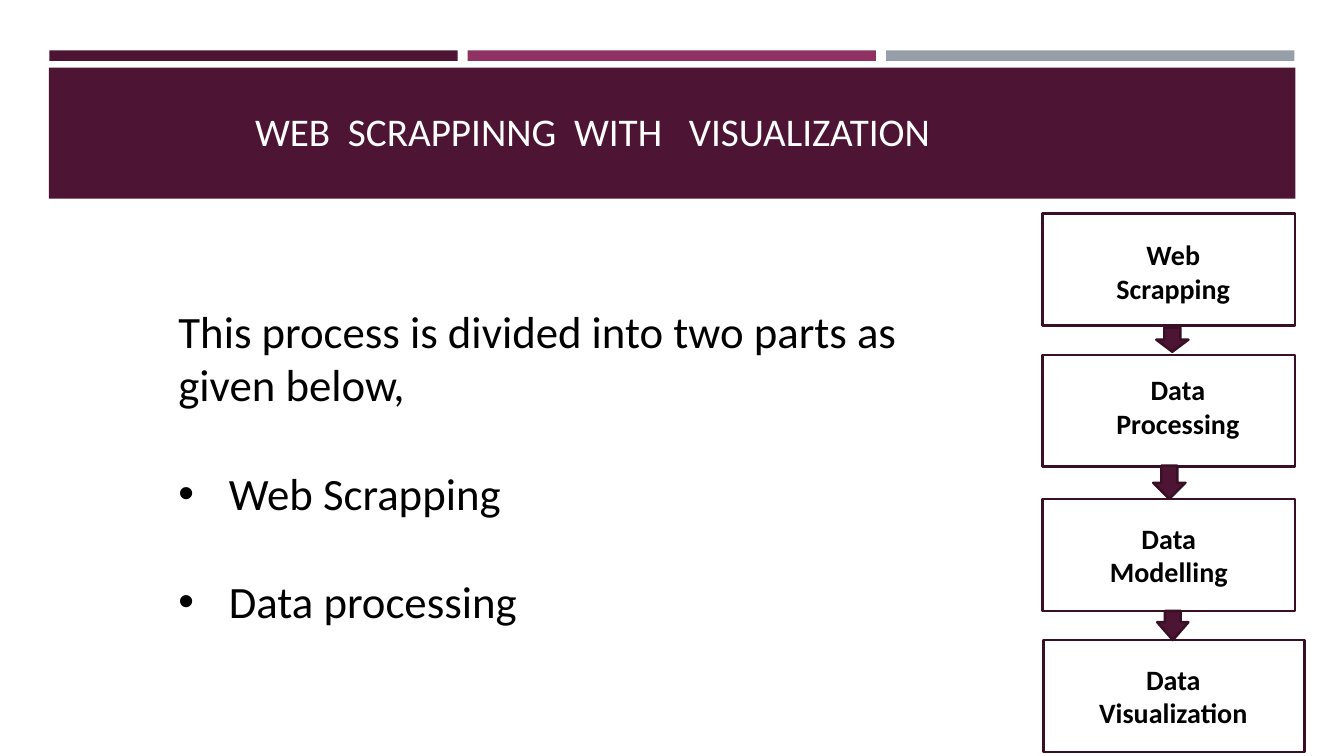
from dataclasses import dataclass

from lxml.etree import SubElement
from pptx import Presentation
from pptx.dml.color import RGBColor
from pptx.enum.shapes import MSO_SHAPE
from pptx.enum.text import MSO_ANCHOR, MSO_AUTO_SIZE, PP_ALIGN
from pptx.oxml.ns import qn
from pptx.util import Inches, Pt

TITLE = "WEB  SCRAPPINNG  WITH   VISUALIZATION"
INTRODUCTION = "This process is divided into two parts as given below,"
PARTS = ["Web Scrapping", "Data processing"]

STEPS = [
    {"lines": ["Web Scrapping"], "box": (103.4, 21.2, 25.1), "label": (108.6, 23.1, 15.6)},
    {"lines": ["Data", "Processing"], "box": (103.4, 35.2, 25.1), "label": (108.2, 36.5, 17.3)},
    {"lines": ["Data", "Modelling"], "box": (103.4, 49.5, 25.1), "label": (107.3, 51.2, 17.3)},
    {"lines": ["Data", "Visualization"], "box": (103.5, 63.5, 25.9), "label": (107.1, 65.2, 18.6)},
]
ARROWS = [
    {"area": (114.7, 32.5, 3.2, 2.4), "head": 0.5},
    {"area": (114.4, 46.2, 3.2, 3.3), "head": 0.5},
    {"area": (114.8, 60.6, 3.1, 2.9), "head": 0.61},
]

SLIDE_COLUMNS, SLIDE_ROWS = 133.33, 75
CELL = Inches(0.1)
STRIPE_LEFT, STRIPE_TOP, STRIPE_WIDTH, STRIPE_HEIGHT = 4.9, 5, 40.5, 1.05
STRIPE_PITCH = 41.5
BANNER_AREA = (4.85, 6.7, 123.65, 13)
TITLE_AREA = (24.3, 4.7, 104.2, 11.1)
BODY_AREA = (16.7, 29.6, 79.1, 33.3)
BOX_ROWS, LABEL_ROWS = 11.1, 7.7


@dataclass(frozen=True)
class Theme:
    font: str = "Calibri"
    plum: str = "4D1434"
    magenta: str = "903163"
    gray: str = "969FA7"
    outline: str = "390F26"
    white: str = "FFFFFF"
    black: str = "000000"
    title_size: int = 28
    body_size: int = 32
    label_size: int = 20
    part_gap: int = 39
    outline_width: float = 1.75


THEME = Theme()


def grid(area):
    return [int(value * CELL) for value in area]


def place(shape, area):
    shape.left, shape.top, shape.width, shape.height = grid(area)


def add_block(slide, area, fill, outline=None, kind=MSO_SHAPE.RECTANGLE):
    shape = slide.shapes.add_shape(kind, *grid(area))
    shape.shadow.inherit = False
    shape.fill.solid()
    shape.fill.fore_color.rgb = RGBColor.from_string(fill)
    if outline:
        shape.line.color.rgb = RGBColor.from_string(outline)
        shape.line.width = Pt(THEME.outline_width)
    else:
        shape.line.fill.background()
    return shape


def write_text(frame, lines, size, color=THEME.black, bold=False,
               align=PP_ALIGN.LEFT, anchor=MSO_ANCHOR.TOP):
    frame.word_wrap = True
    frame.auto_size = MSO_AUTO_SIZE.NONE
    frame.vertical_anchor = anchor
    for index, line in enumerate(lines):
        paragraph = frame.add_paragraph() if index else frame.paragraphs[0]
        paragraph.alignment = align
        paragraph.space_before = Pt(0)
        run = paragraph.add_run()
        run.text = line
        run.font.name = THEME.font
        run.font.size = Pt(size)
        run.font.bold = bold
        run.font.color.rgb = RGBColor.from_string(color)


def set_bullet(paragraph, character=None):
    properties = paragraph._p.get_or_add_pPr()
    indent = Inches(0.5) if character else 0
    properties.set("marL", str(indent))
    properties.set("indent", str(-indent))
    if character:
        SubElement(properties, qn("a:buFont")).set("typeface", "Arial")
        SubElement(properties, qn("a:buChar")).set("char", character)
    else:
        SubElement(properties, qn("a:buNone"))


def add_header(slide):
    for index, color in enumerate([THEME.plum, THEME.magenta, THEME.gray]):
        left = STRIPE_LEFT + index * STRIPE_PITCH
        add_block(slide, (left, STRIPE_TOP, STRIPE_WIDTH, STRIPE_HEIGHT), color)
    add_block(slide, BANNER_AREA, THEME.plum)
    title = slide.shapes.title
    place(title, TITLE_AREA)
    write_text(title.text_frame, [TITLE], THEME.title_size, THEME.white,
               anchor=MSO_ANCHOR.BOTTOM)
    slide.shapes.element.append(title.element)


def add_flow(slide):
    for step in STEPS:
        add_block(slide, (*step["box"], BOX_ROWS), THEME.white, THEME.outline)
    for arrow in ARROWS:
        shape = add_block(slide, arrow["area"], THEME.plum, THEME.outline, MSO_SHAPE.DOWN_ARROW)
        shape.adjustments[1] = arrow["head"]
    for step in STEPS:
        label = slide.shapes.add_textbox(*grid((*step["label"], LABEL_ROWS)))
        write_text(label.text_frame, step["lines"], THEME.label_size, bold=True,
                   align=PP_ALIGN.CENTER)


def add_body(slide):
    body = slide.placeholders[1]
    place(body, BODY_AREA)
    write_text(body.text_frame, [INTRODUCTION, *PARTS], THEME.body_size)
    introduction, *parts = body.text_frame.paragraphs
    set_bullet(introduction)
    for paragraph in parts:
        paragraph.space_before = Pt(THEME.part_gap)
        set_bullet(paragraph, "•")
    slide.shapes.element.append(body.element)


def main():
    presentation = Presentation()
    presentation.slide_width, presentation.slide_height = grid((SLIDE_COLUMNS, SLIDE_ROWS))
    slide = presentation.slides.add_slide(presentation.slide_layouts[1])
    add_header(slide)
    add_flow(slide)
    add_body(slide)
    presentation.save("out.pptx")


if __name__ == "__main__":
    main()
